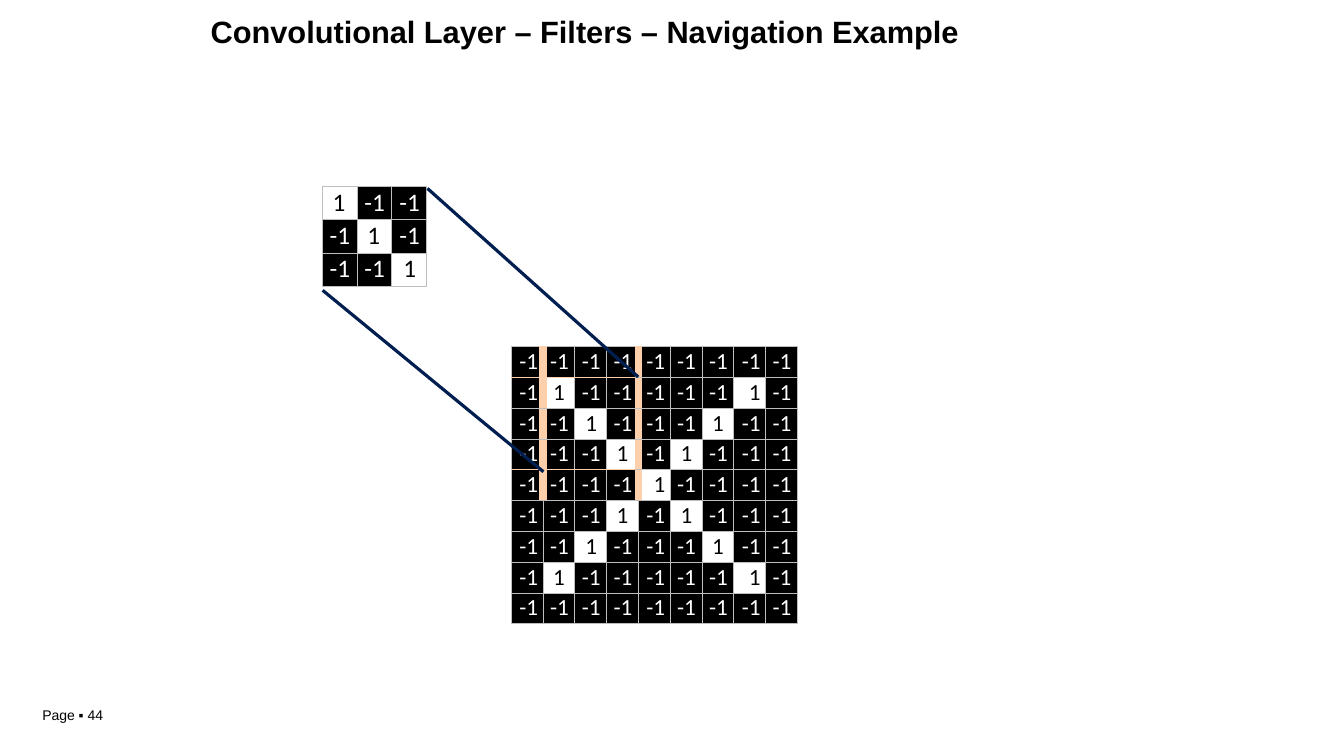
from pptx import Presentation
from pptx import util as u
from pptx.dml.color import RGBColor
from pptx.enum import shapes, text
from pptx.oxml import parse_xml
from pptx.oxml.ns import nsdecls
from pptx.util import Inches

BLACK, WHITE, GREY, PEACH, NAVY = "000000", "FFFFFF", "BEBEBE", "FDCFAA", "001F50"
LEFT, CENTER, RIGHT = text.PP_ALIGN.LEFT, text.PP_ALIGN.CENTER, text.PP_ALIGN.RIGHT
FILTER_ALIGNS = [LEFT, LEFT, CENTER]
IMAGE_ALIGNS = [RIGHT, LEFT, CENTER, LEFT, RIGHT, CENTER, LEFT, RIGHT, CENTER]
IMAGE_BOX = (5.07, 3.44, 2.84, 2.75)
WINDOW_ROWS, WINDOW_COLS = (1, 4), (1, 4)


def rgb(code):
    """Turn a hex string into a colour."""
    return RGBColor.from_string(code)


def add_run(paragraph, words, size, font, color, bold=False):
    """Add one formatted run."""
    run = paragraph.add_run()
    run.text = words
    run.font.size = u.Pt(size)
    run.font.name = font
    run.font.bold = bold
    run.font.color.rgb = rgb(color)


def fill_frame(frame, words, size, bold=False):
    """Write one left-aligned line into a frame without margins."""
    frame.margin_left = frame.margin_right = frame.margin_bottom = 0
    frame.margin_top = Inches(0.01 if bold else 0)
    frame.word_wrap = True
    frame.auto_size = text.MSO_AUTO_SIZE.SHAPE_TO_FIT_TEXT
    frame.vertical_anchor = text.MSO_ANCHOR.TOP
    line = frame.paragraphs[0]
    line.alignment = LEFT
    line._p.get_or_add_pPr().set("marL", str(Inches(0.01)))
    add_run(line, words, size, "Arial", BLACK, bold)


def add_border(cell, side, color, width):
    """Draw one side (L, R, T or B) of a cell."""
    cell._tc.get_or_add_tcPr().append(parse_xml(
        f'<a:ln{side} {nsdecls("a")} w="{u.Pt(width)}"><a:solidFill>'
        f'<a:srgbClr val="{color}"/></a:solidFill></a:ln{side}>'))


def border_styles(row, col, has_window):
    """Give colour and width of each side, marking the filter window."""
    sides = dict.fromkeys("LRTB", (GREY, 0.75))
    if has_window and row <= WINDOW_ROWS[1]:
        for side, edge in (("L", col), ("R", col + 1)):
            if edge in WINDOW_COLS:
                sides[side] = (PEACH, 6)
    if has_window and col < WINDOW_COLS[1]:
        for side, edge in (("T", row), ("B", row + 1)):
            if edge in WINDOW_ROWS:
                sides[side] = (PEACH, 0.75)
    return sides


def place_value(paragraph, align, lit):
    """Align and indent a value within its cell."""
    paragraph.alignment = align
    indent = {LEFT: 0.1 if lit else 0.07, CENTER: 0.01, RIGHT: 0}[align]
    properties = paragraph._p.get_or_add_pPr()
    properties.set("marL", str(Inches(indent)))
    if align == RIGHT:
        properties.set("marR", str(Inches(0.05)))


def add_pixel_grid(slide, box, is_lit, aligns, size, has_window=False):
    """Add a square table of 1 and -1 values, lit where is_lit says so."""
    count = len(aligns)
    grid = slide.shapes.add_table(count, count, *map(Inches, box)).table
    grid.first_row = grid.horz_banding = False
    for row in range(count):
        for col, align in enumerate(aligns):
            cell, lit = grid.cell(row, col), is_lit(row, col)
            cell.margin_left = cell.margin_right = cell.margin_bottom = 0
            cell.margin_top = Inches(0.01)
            for side, style in border_styles(row, col, has_window).items():
                add_border(cell, side, *style)
            if lit:
                cell.fill.background()
            else:
                cell.fill.solid()
                cell.fill.fore_color.rgb = rgb(BLACK)
            value = cell.text_frame.paragraphs[0]
            place_value(value, align, lit)
            add_run(value, "1" if lit else "-1", size, "Calibri", BLACK if lit else WHITE)


def add_lit_pair(slide, cells):
    """Paint two diagonal image cells white as one outline."""
    left, top, width, height = IMAGE_BOX
    corners = [[(Inches(left + (col + x) * width / 9), Inches(top + (row + y) * height / 9))
                for x, y in ((1, 0), (0, 0), (0, 1), (1, 1))] for row, col in cells]
    builder = slide.shapes.build_freeform(*corners[0][0])
    builder.add_line_segments(corners[0][1:])
    builder.move_to(*corners[1][0])
    builder.add_line_segments(corners[1][1:])
    pair = builder.convert_to_shape()
    pair.shadow.inherit = False
    pair.fill.solid()
    pair.fill.fore_color.rgb = rgb(WHITE)
    pair.line.fill.background()


def add_projection(slide, start, end):
    """Draw a line from a filter corner to the window in the image."""
    line = slide.shapes.add_connector(
        shapes.MSO_CONNECTOR.STRAIGHT, *map(Inches, start + end))
    line.line.color.rgb = rgb(NAVY)
    line.line.width = u.Pt(2.28)
    line._element.spPr.append(parse_xml(f'<a:effectLst {nsdecls("a")}/>'))


def main():
    """Build the slide and save it."""
    deck = Presentation()
    deck.slide_width, deck.slide_height = Inches(13.33), Inches(7.5)
    slide = deck.slides.add_slide(deck.slide_layouts[5])

    add_pixel_grid(slide, (3.2, 1.85, 1.03, 0.99), lambda row, col: row == col,
                   FILTER_ALIGNS, 18)
    for cells in (((2, 2), (3, 3)), ((6, 2), (5, 3)), ((6, 6), (7, 7))):
        add_lit_pair(slide, cells)
    add_pixel_grid(slide, IMAGE_BOX, lambda row, col: 0 < row < 8 and col in (row, 8 - row),
                   IMAGE_ALIGNS, 16.5, has_window=True)
    add_projection(slide, (4.24, 1.87), (6.33, 3.74))
    add_projection(slide, (3.2, 2.88), (5.39, 4.68))

    title = slide.shapes.title
    title.left, title.top, title.width, title.height = map(Inches, (2.08, 0.12, 7.48, 0.39))
    fill_frame(title.text_frame, "Convolutional Layer – Filters – Navigation Example", 22, True)
    page = slide.shapes.add_textbox(*map(Inches, (0.41, 7.01, 0.67, 0.18)))
    fill_frame(page.text_frame, "Page ▪ 44", 10)

    deck.save("out.pptx")


if __name__ == "__main__":
    main()
